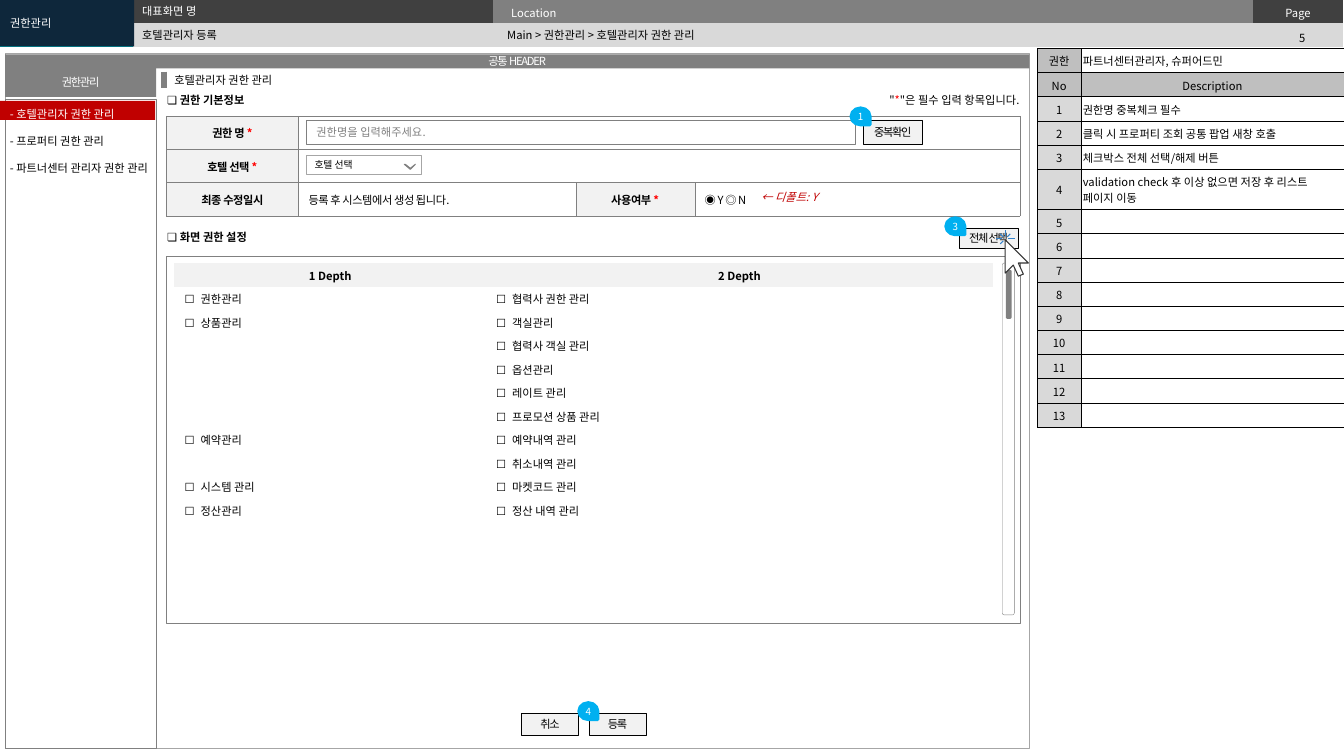
"""Builds the hotel manager permission screen specification slide."""
from lxml.etree import SubElement
from pptx import Presentation
from pptx.dml.color import RGBColor
from pptx.enum.shapes import MSO_CONNECTOR, MSO_SHAPE
from pptx.enum.text import MSO_ANCHOR, MSO_AUTO_SIZE, PP_ALIGN
from pptx.oxml import parse_xml
from pptx.oxml.ns import nsdecls, qn
from pptx.util import Inches, Pt

FONT = "Noto Sans CJK KR"
NO_STYLE = "{2D5ABB26-0587-4C30-8999-92F81FD0307C}"
COLORS = {
    "black": "000000", "white": "FFFFFF", "navy": "0E273B", "teal": "009CA6",
    "dark": "404040", "gray": "808080", "frame": "A6A6A6", "silver": "BFBFBF",
    "light": "D9D9D9", "pale": "F2F2F2", "required": "FF0000", "red": "C00000",
    "badge": "00B0F0", "cursor": "333333", "ray": "3483CB", "chevron": "5F5F5F",
}
DESCRIPTIONS = [
    "권한명 중복체크 필수", "클릭 시 프로퍼티 조회 공통 팝업 새창 호출", "체크박스 전체 선택/해제 버튼",
    "validation check 후 이상 없으면 저장 후 리스트\n페이지 이동",
]
MENU_TREE = [
    ("권한관리", ["협력사 권한 관리"]),
    ("상품관리", ["객실관리", "협력사 객실 관리", "옵션관리", "레이트 관리", "프로모션 상품 관리"]),
    ("예약관리", ["예약내역 관리", "취소내역 관리"]),
    ("시스템 관리", ["마켓코드 관리"]),
    ("정산관리", ["정산 내역 관리"]),
]
CURSOR = [(10.15, 2.72), (10.1, 2.61), (10.2, 2.61), (9.97, 2.38), (9.97, 2.71), (10.05, 2.63), (10.1, 2.74)]
RAYS = [
    [(9.95, 2.39), (9.92, 2.42)], [(9.95, 2.35), (9.92, 2.32)], [(9.99, 2.35), (10.02, 2.32)],
    [(9.94, 2.37), (9.88, 2.37)], [(9.97, 2.34), (9.97, 2.28)], [(10, 2.37), (10.07, 2.37)],
]
CHEVRON = [(4.12, 1.63), (4.07, 1.67), (4.02, 1.63), (4.01, 1.63), (4.07, 1.68)]


def color(name):
    return RGBColor.from_string(COLORS[name])


def format_run(run, ink, size, bold, italic, spacing):
    run.font.size, run.font.bold, run.font.italic = Pt(size), bold, italic
    run.font.color.rgb = color(ink)
    run.font.name = FONT
    properties = run.font._element
    SubElement(properties, qn("a:ea"), typeface=FONT)
    if spacing:
        properties.set("spc", str(int(spacing * 100)))


def write_paragraph(paragraph, text, ink="black", size=8, bold=False, italic=False,
                    spacing=0, align=PP_ALIGN.LEFT):
    paragraph.alignment = align
    before, star, after = text.partition("*")
    paragraph.text = before
    for piece in filter(None, (star, after)):
        paragraph.add_run().text = piece
    for run in paragraph.runs:
        format_run(run, "required" if run.text == "*" else ink, size, bold, italic, spacing)
    if not text:
        SubElement(paragraph._p, qn("a:endParaRPr"), sz=str(size * 100))


def write_lines(text_frame, text, **style):
    text_frame.text = text
    for paragraph in text_frame.paragraphs:
        write_paragraph(paragraph, paragraph.text, **style)


def set_insets(holder, horizontal, top, bottom):
    holder.margin_left = holder.margin_right = Inches(horizontal)
    holder.margin_top, holder.margin_bottom = Inches(top), Inches(bottom)


def paint(shape, fill=None, line=None, width=0.25):
    shape.shadow.inherit = False
    if fill:
        shape.fill.solid()
        shape.fill.fore_color.rgb = color(fill)
    else:
        shape.fill.background()
    if line:
        shape.line.color.rgb = color(line)
        shape.line.width = Pt(width)
    else:
        shape.line.fill.background()


def add_box(slide, box, fill=None, line=None, width=0.25, text="", inset=0,
            kind=MSO_SHAPE.RECTANGLE, **style):
    shape = slide.shapes.add_shape(kind, *map(Inches, box))
    paint(shape, fill, line, width)
    if text:
        set_insets(shape.text_frame, inset, 0, 0)
        shape.text_frame.vertical_anchor = MSO_ANCHOR.MIDDLE
        write_lines(shape.text_frame, text, **style)
    return shape


def add_text(slide, box, text, **style):
    text_frame = slide.shapes.add_textbox(*map(Inches, box)).text_frame
    text_frame.word_wrap = True
    write_lines(text_frame, text, **style)
    return text_frame


def add_button(slide, box, text):
    add_box(slide, box, "pale", "black", text=text, spacing=-0.9, align=PP_ALIGN.CENTER)


def add_badge(slide, left, top, number):
    badge = add_box(slide, (left, top, 0.17, 0.19), "badge", "badge", 2, number,
                    kind=MSO_SHAPE.TEAR, ink="white", size=7, align=PP_ALIGN.CENTER)
    badge.rotation = 90
    badge.text_frame._txBody.bodyPr.set("vert", "vert270")


def add_outline(slide, contours, fill, line, close=True):
    points = [[(Inches(x), Inches(y)) for x, y in contour] for contour in contours]
    builder = slide.shapes.build_freeform(*points[0][0], scale=1.0)
    for index, contour in enumerate(points):
        if index:
            builder.move_to(*contour[0])
        builder.add_line_segments(contour[1:], close=close)
    paint(builder.convert_to_shape(), fill, line, 0.75)


def fill_placeholder(placeholder, box, text, ink="black", fill=None):
    placeholder.left, placeholder.top, placeholder.width, placeholder.height = map(Inches, box)
    if fill:
        placeholder.fill.solid()
        placeholder.fill.fore_color.rgb = color(fill)
    text_frame = placeholder.text_frame
    text_frame.auto_size = MSO_AUTO_SIZE.NONE
    text_frame.vertical_anchor = MSO_ANCHOR.MIDDLE
    set_insets(text_frame, 0.1, 0, 0)
    write_lines(text_frame, text, ink=ink)
    paragraph = text_frame.paragraphs[0]
    paragraph.space_before = Pt(0)
    properties = paragraph._p.get_or_add_pPr()
    properties.set("marL", "0")
    properties.set("indent", "0")
    SubElement(properties, qn("a:buNone"))


def add_grid(slide, left, top, widths, heights):
    frame = slide.shapes.add_table(len(heights), len(widths), Inches(left), Inches(top),
                                   Inches(sum(widths)), Inches(sum(heights)))
    table = frame.table
    table.first_row = table.horz_banding = False
    table._tbl.tblPr.find(qn("a:tableStyleId")).text = NO_STYLE
    for column, width in zip(table.columns, widths):
        column.width = Inches(width)
    for row, height in zip(table.rows, heights):
        row.height = Inches(height)
    return frame


def fill_cell(cell, text="", fill=None, border=None, width=0.25, inset=0.1, **style):
    set_insets(cell, inset, 0.04, 0.03)
    cell.vertical_anchor = MSO_ANCHOR.MIDDLE
    write_lines(cell.text_frame, text, **style)
    if fill:
        cell.fill.solid()
        cell.fill.fore_color.rgb = color(fill)
    else:
        cell.fill.background()
    for index, side in enumerate("LRTB" if border else ""):
        cell._tc.get_or_add_tcPr().insert(index, parse_xml(
            f'<a:ln{side} {nsdecls("a")} w="{Pt(width)}"><a:solidFill>'
            f'<a:srgbClr val="{COLORS[border]}"/></a:solidFill></a:ln{side}>'))


def add_header(slide):
    frame = add_grid(slide, 0, 0, [1.32, 3.57, 7.54, 0.89], [0.23, 0.23])
    slide.shapes._spTree.insert(2, frame._element)
    table = frame.table
    fills = [["teal", "dark", "gray", "dark"], ["teal", "light", "light", "light"]]
    labels = {(0, 2): ("Location", PP_ALIGN.LEFT), (0, 3): ("Page", PP_ALIGN.CENTER)}
    for row, names in enumerate(fills):
        for column, fill in enumerate(names):
            text, align = labels.get((row, column), ("", PP_ALIGN.LEFT))
            fill_cell(table.cell(row, column), text, fill, inset=0.18, ink="white", align=align)
    table.cell(0, 0).merge(table.cell(1, 0))
    title, location, heading, section, spare = slide.placeholders
    fill_placeholder(title, (1.31, 0.24, 3.63, 0.22), "호텔관리자 등록")
    fill_placeholder(location, (4.93, 0.23, 7.38, 0.24), "Main > 권한관리 > 호텔관리자 권한 관리")
    fill_placeholder(heading, (1.31, 0, 3.62, 0.22), "대표화면 명", "white")
    fill_placeholder(section, (0, 0, 1.33, 0.46), "권한관리", "white", "navy")
    spare._element.getparent().remove(spare._element)
    add_text(slide, (12.48, 0.26, 0.87, 0.24), "5", align=PP_ALIGN.CENTER)


def add_sidebar(slide):
    add_box(slide, (0.05, 0.53, 10.16, 6.89), line="frame")
    add_box(slide, (0.05, 0.98, 1.5, 6.44), line="gray")
    for box, text in [((0.05, 0.54, 10.16, 0.14), "공통 HEADER"), ((0.05, 0.67, 1.5, 0.29), "권한관리")]:
        add_box(slide, box, "gray", text=text, ink="white", spacing=-0.9, align=PP_ALIGN.CENTER)
    add_box(slide, (-0.12, 1, 1.66, 0.19), "red")
    menu = add_text(slide, (0, 0.88, 1.62, 0.87), "- 호텔관리자 권한 관리\n- 프로퍼티 권한 관리\n- 파트너센터 관리자 권한 관리")
    for paragraph in menu.paragraphs:
        paragraph.line_spacing = Pt(19.3)
    menu.paragraphs[0].runs[0].font.color.rgb = color("white")


def add_descriptions(slide):
    rows = [("권한", "파트너센터관리자, 슈퍼어드민"), ("No", "Description")]
    rows += [(str(n + 1), DESCRIPTIONS[n] if n < len(DESCRIPTIONS) else "") for n in range(13)]
    heights = [0.4 if "\n" in text else 0.24 for _, text in rows]
    table = add_grid(slide, 10.29, 0.48, [0.43, 2.61], heights).table
    for row, (label, text) in enumerate(rows):
        heading = text == "Description"
        edge = {"border": "black", "width": 0.5, "inset": 0.02}
        fill_cell(table.cell(row, 0), label, "silver" if row < 2 else "light", align=PP_ALIGN.CENTER, **edge)
        fill_cell(table.cell(row, 1), text, "silver" if heading else None,
                  align=PP_ALIGN.CENTER if heading else PP_ALIGN.LEFT, **edge)


def add_basic_form(slide):
    add_text(slide, (1.63, 0.68, 2.41, 0.24), "호텔관리자 권한 관리")
    marker = slide.shapes.add_connector(MSO_CONNECTOR.STRAIGHT, *map(Inches, (1.63, 0.71, 1.63, 0.87)))
    marker.line.color.rgb, marker.line.width = color("gray"), Pt(4.5)
    SubElement(marker._element.spPr, qn("a:effectLst"))
    table = add_grid(slide, 1.65, 1.15, [1.31, 2.75, 1.18, 3.23], [0.33] * 3).table
    rows = [["권한 명 *", "", "", ""], ["호텔 선택 *", "", "", ""],
            ["최종 수정일시", "등록 후 시스템에서 생성 됩니다.", "사용여부 *", "◉ Y ◎ N"]]
    for row, texts in enumerate(rows):
        for column, text in enumerate(texts):
            label = column == 0 or text.startswith("사용여부")
            fill_cell(table.cell(row, column), text, "pale" if label else "white", "gray", bold=label,
                      spacing=-0.3, align=PP_ALIGN.CENTER if label else PP_ALIGN.LEFT)
    for row in range(2):
        table.cell(row, 1).merge(table.cell(row, 3))
    add_text(slide, (1.56, 0.88, 1.8, 0.24), "❏ 권한 기본정보", bold=True)
    add_text(slide, (8.53, 0.88, 1.68, 0.24), '"*"은 필수 입력 항목입니다.', align=PP_ALIGN.RIGHT)
    add_button(slide, (8.56, 1.19, 0.59, 0.24), "중복확인")
    add_box(slide, (3.04, 1.19, 5.44, 0.24), "white", "gray", text="권한명을 입력해주세요.", inset=0.1, ink="gray")
    add_box(slide, (3.04, 1.54, 1.14, 0.19), "white", "frame", 0.5, "호텔 선택", inset=0.08, size=7)
    add_outline(slide, [CHEVRON], "chevron", "gray")
    add_text(slide, (7.45, 1.84, 0.85, 0.24), "← 디폴트: Y", ink="red", italic=True)


def add_permission_tree(slide):
    add_text(slide, (1.56, 2.24, 1.8, 0.24), "❏ 화면 권한 설정", bold=True)
    rows = [(parent if not index else "", child)
            for parent, children in MENU_TREE for index, child in enumerate(children)]
    rows += [("", "")] * 2
    table = add_grid(slide, 1.73, 2.61, [3.09, 5.03], [3.03 / 13] * 13).table
    for column, text in enumerate(["1 Depth", "2 Depth"]):
        fill_cell(table.cell(0, column), text, "pale", bold=True, align=PP_ALIGN.CENTER)
    for row, names in enumerate(rows, 1):
        for column, name in enumerate(names):
            cell = table.cell(row, column)
            fill_cell(cell, f"☐\t{name}" if name else "", "white")
            tabs = SubElement(cell.text_frame.paragraphs[0]._p.get_or_add_pPr(), qn("a:tabLst"))
            SubElement(tabs, qn("a:tab"), pos=str(Inches(0.16)), algn="l")
    add_box(slide, (9.94, 2.61, 0.12, 3.49), "white", "gray", kind=MSO_SHAPE.ROUNDED_RECTANGLE)
    add_box(slide, (9.99, 2.69, 0.03, 0.46), "gray", "gray", 2, kind=MSO_SHAPE.ROUNDED_RECTANGLE)
    add_box(slide, (1.65, 2.54, 8.47, 3.64), line="gray")
    add_button(slide, (9.51, 2.26, 0.59, 0.2), "전체 선택")
    add_outline(slide, [CURSOR], "white", "cursor")
    add_outline(slide, RAYS, None, "ray", close=False)


def main():
    presentation = Presentation()
    presentation.slide_width, presentation.slide_height = Inches(13.33), Inches(7.5)
    slide = presentation.slides.add_slide(presentation.slide_layouts.get_by_name("Comparison"))
    add_header(slide)
    add_sidebar(slide)
    add_descriptions(slide)
    add_basic_form(slide)
    add_permission_tree(slide)
    for left, text in [(5.17, "취소"), (5.84, "등록")]:
        add_button(slide, (left, 7.08, 0.57, 0.21), text)
    for left, top, number in [(8.45, 1.06, "1"), (9.39, 2.15, "3"), (5.75, 6.96, "4")]:
        add_badge(slide, left, top, number)
    presentation.save("out.pptx")


if __name__ == "__main__":
    main()
